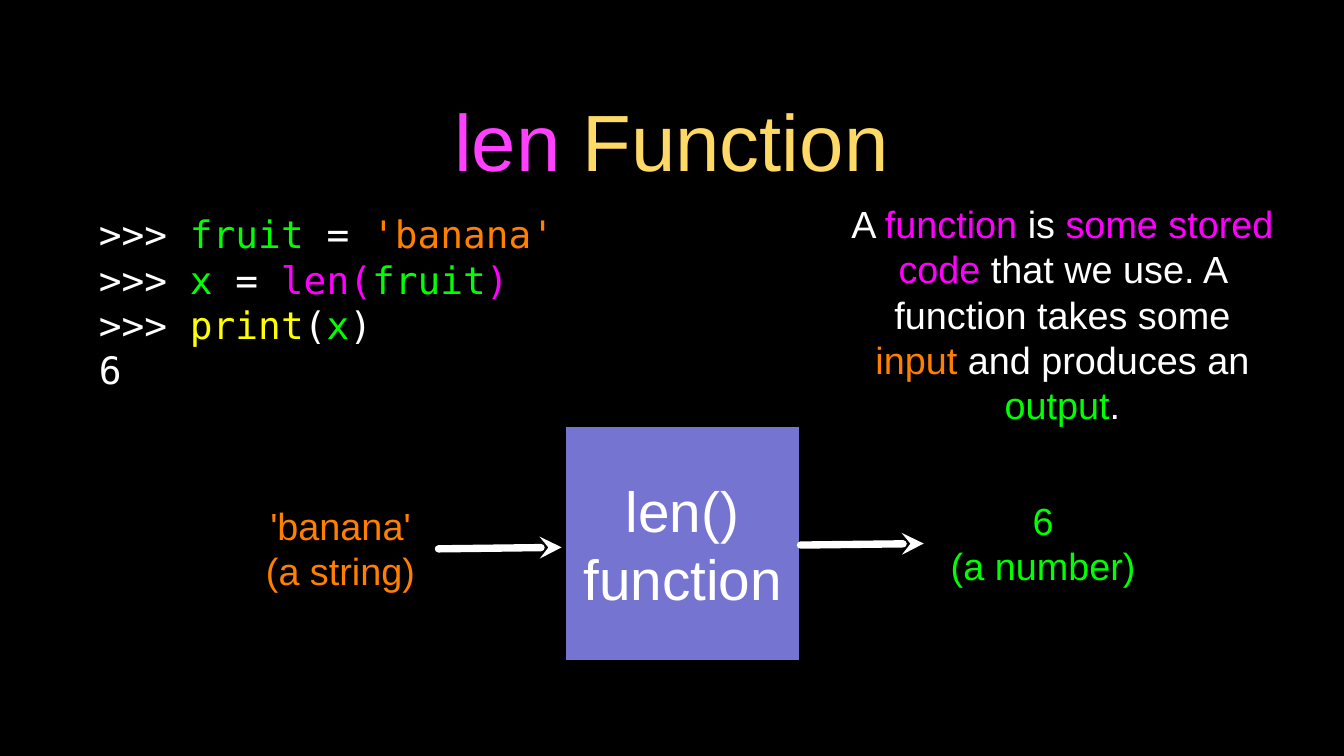
from dataclasses import dataclass
from typing import NamedTuple

from lxml import etree
from pptx import Presentation
from pptx.dml.color import RGBColor
from pptx.enum.shapes import MSO_CONNECTOR, MSO_SHAPE
from pptx.enum.text import MSO_ANCHOR, MSO_AUTO_SIZE, PP_ALIGN
from pptx.oxml.ns import qn
from pptx.util import Inches, Pt

LEFT, CENTER = PP_ALIGN.LEFT, PP_ALIGN.CENTER
MIDDLE = MSO_ANCHOR.MIDDLE
NO_AUTOFIT = MSO_AUTO_SIZE.NONE
RECTANGLE = MSO_SHAPE.RECTANGLE
STRAIGHT = MSO_CONNECTOR.STRAIGHT
TITLE_ONLY = 5


@dataclass(frozen=True)
class Theme:
    """Colours, fonts and type sizes of the slide."""
    black: str = "000000"
    white: str = "FFFFFF"
    pink: str = "FF40FF"
    gold: str = "FFD966"
    green: str = "00FF00"
    orange: str = "FF7F00"
    magenta: str = "FF00FF"
    yellow: str = "FFFF00"
    violet: str = "7575D1"
    sans: str = "Arial"
    mono: str = "DejaVu Sans Mono"
    title: int = 76
    function: int = 54
    body: int = 36
    arrow: int = 7
    line_height: float = 1.2


THEME = Theme()


class Span(NamedTuple):
    """A stretch of text in one colour."""
    text: str
    color: str = THEME.white


class Area(NamedTuple):
    """Left, top, width and height in inches."""
    left: float
    top: float
    width: float
    height: float


class TextBlock(NamedTuple):
    """A text box with its paragraphs and format."""
    area: Area
    paragraphs: list[list[Span]]
    font: str = THEME.sans
    align: PP_ALIGN = CENTER


class Arrow(NamedTuple):
    """Start and end of an arrow in inches."""
    start: tuple[float, float]
    end: tuple[float, float]


PROMPT = Span(">>> ")
TITLE_AREA = Area(1.26, 0.91, 15.24, 1.87)
FUNCTION_AREA = Area(7.49, 5.65, 3.08, 3.08)

CODE = TextBlock(Area(1.31, 2.78, 6.17, 2.42), [
    [PROMPT, Span("fruit ", THEME.green), Span("="), Span(" 'banana'", THEME.orange)],
    [PROMPT, Span("x ", THEME.green), Span("= "), Span("len(", THEME.magenta),
     Span("fruit", THEME.green), Span(")", THEME.magenta)],
    [PROMPT, Span("print", THEME.yellow), Span("("), Span("x", THEME.green), Span(")")],
    [Span("6")],
], font=THEME.mono, align=LEFT)

INPUT = TextBlock(Area(3.51, 6.64, 1.99, 1.21), [
    [Span("'banana'", THEME.orange)], [Span("(a string)", THEME.orange)]])

OUTPUT = TextBlock(Area(12.51, 6.56, 2.58, 1.25), [
    [Span("6", THEME.green)], [Span("(a number)", THEME.green)]])

DEFINITION = TextBlock(Area(11.25, 2.96, 5.61, 2.39), [[
    Span("A "), Span("function", THEME.magenta), Span(" is "),
    Span("some stored code", THEME.magenta),
    Span(" that we use. A function takes some "), Span("input", THEME.orange),
    Span(" and produces an "), Span("output", THEME.green), Span("."),
]])

ARROWS = [Arrow((5.8, 7.26), (7.43, 7.24)), Arrow((10.59, 7.21), (12.22, 7.19))]


def inches(values: tuple[float, ...]) -> list[Inches]:
    """Turn numbers into lengths."""
    return [Inches(value) for value in values]


def write_text(shape, paragraphs: list[list[Span]], *, size: int = THEME.body,
               font: str = THEME.sans, align: PP_ALIGN = CENTER,
               inset: float = 0) -> None:
    """Fill a shape with coloured paragraphs, centred vertically."""
    frame = shape.text_frame
    frame.word_wrap = True
    frame.auto_size = NO_AUTOFIT
    frame.vertical_anchor = MIDDLE
    frame.margin_left = frame.margin_right = Inches(inset)
    frame.margin_top = frame.margin_bottom = Inches(inset)
    for index, spans in enumerate(paragraphs):
        para = frame.add_paragraph() if index else frame.paragraphs[0]
        para.alignment = align
        para.line_spacing = Pt(size * THEME.line_height)
        para.space_before = para.space_after = Pt(0)
        for span in spans:
            run = para.add_run()
            run.text = span.text
            run.font.name = font
            run.font.size = Pt(size)
            run.font.color.rgb = RGBColor.from_string(span.color)


def add_title(page) -> None:
    """Place the title in its placeholder."""
    title = page.shapes.title
    title.left, title.top, title.width, title.height = inches(TITLE_AREA)
    write_text(title, [[Span("len ", THEME.pink), Span("Function", THEME.gold)]],
               size=THEME.title, inset=0.04)


def add_text_block(page, block: TextBlock) -> None:
    """Add a text box."""
    box = page.shapes.add_textbox(*inches(block.area))
    write_text(box, block.paragraphs, font=block.font, align=block.align)


def add_function_box(page) -> None:
    """Add the square that stands for the function."""
    box = page.shapes.add_shape(RECTANGLE, *inches(FUNCTION_AREA))
    box.shadow.inherit = False
    box.fill.solid()
    box.fill.fore_color.rgb = RGBColor.from_string(THEME.violet)
    box.line.fill.background()
    write_text(box, [[Span("len()")], [Span("function")]], size=THEME.function)


def add_arrow(page, arrow: Arrow) -> None:
    """Add a round-capped line with a stealth arrowhead at its end."""
    connector = page.shapes.add_connector(STRAIGHT, *inches(arrow.start + arrow.end))
    connector.line.width = Pt(THEME.arrow)
    connector.line.color.rgb = RGBColor.from_string(THEME.white)
    line = connector.line._get_or_add_ln()
    line.set("cap", "rnd")
    etree.SubElement(line, qn("a:round"))
    etree.SubElement(line, qn("a:tailEnd"), type="stealth")
    etree.SubElement(connector._element.spPr, qn("a:effectLst"))


def main() -> None:
    """Build and save the slide."""
    deck = Presentation()
    deck.slide_width, deck.slide_height = inches((17.78, 10))
    page = deck.slides.add_slide(deck.slide_layouts[TITLE_ONLY])
    page.background.fill.solid()
    page.background.fill.fore_color.rgb = RGBColor.from_string(THEME.black)
    add_title(page)
    add_text_block(page, CODE)
    add_function_box(page)
    for arrow in ARROWS:
        add_arrow(page, arrow)
    for block in (INPUT, OUTPUT, DEFINITION):
        add_text_block(page, block)
    deck.save("out.pptx")


main()
